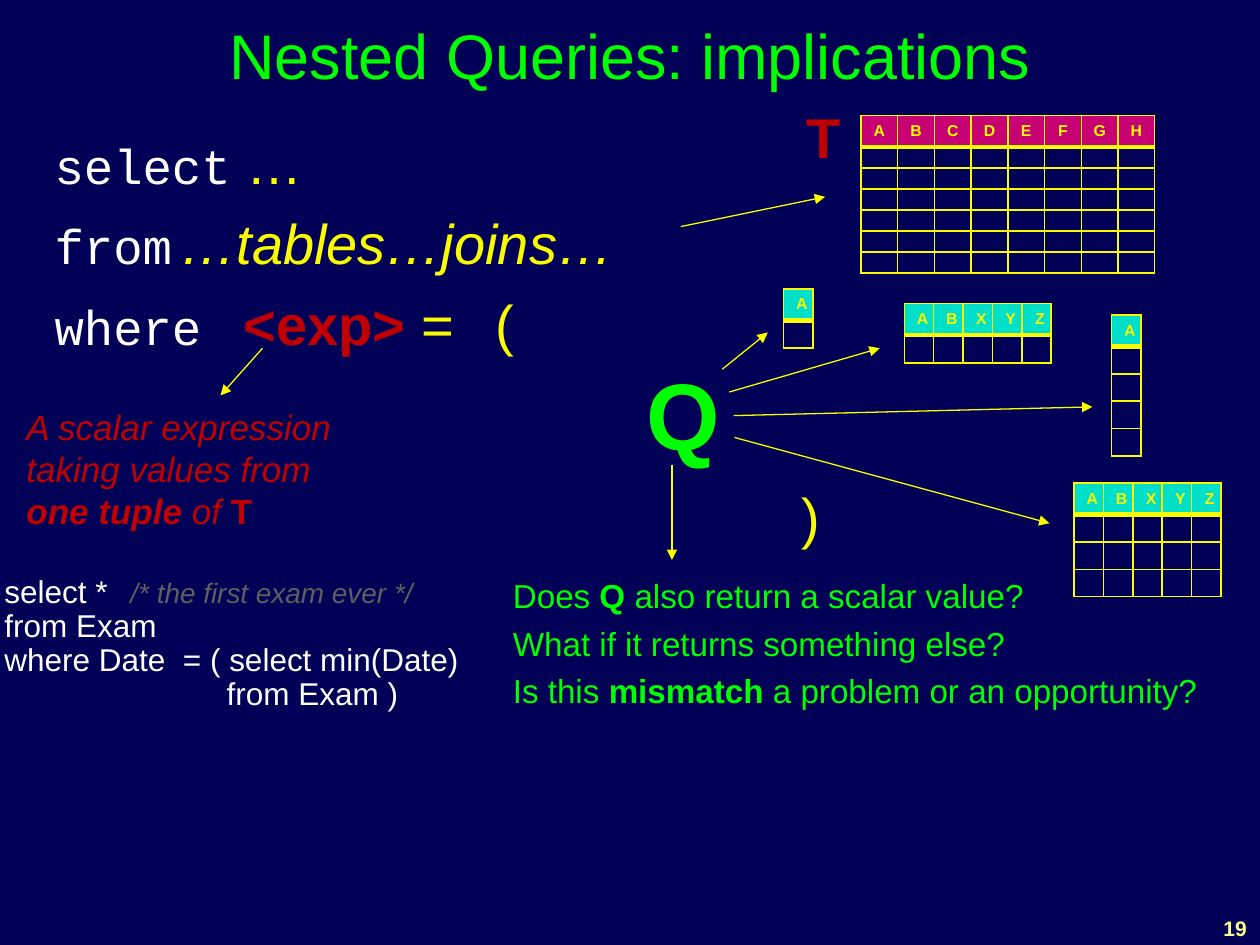
import pptx
import pptx.util
import pptx.dml.color
import pptx.enum.shapes
import pptx.enum.text
import pptx.oxml
import pptx.oxml.ns
import lxml.etree

Pt = pptx.util.Pt
qn = pptx.oxml.ns.qn
ALIGN = pptx.enum.text.PP_ALIGN
ANCHOR = pptx.enum.text.MSO_ANCHOR

YELLOW, GREEN, RED, WHITE = "FAFD00", "00FF00", "C00000", "FFFFFF"
PINK, TEAL = "C70074", "00DFCA"
MONO = dict(size=28, color=WHITE, face="Courier New")


def hexa(code):
    return pptx.dml.color.RGBColor.from_string(code)


def style(font, size=None, color=None, bold=None, italic=None, face=None):
    """Set only the font traits that are given."""
    if size:
        font.size = Pt(size)
    if color:
        font.color.rgb = hexa(color)
    if bold is not None:
        font.bold = bold
    if italic is not None:
        font.italic = italic
    if face:
        font.name = face


def sub(parent, tag, **attrs):
    return lxml.etree.SubElement(parent, qn(tag), {k: str(v) for k, v in attrs.items()})


def place(shape, box):
    shape.left, shape.top, shape.width, shape.height = map(Pt, box)


def write(par, runs, base, indent=0, tabs=(), gap=0, align=None, spacing=None):
    """Fill a paragraph with (text, differences) runs over a base style."""
    props = par._p.get_or_add_pPr()
    props.set("marL", str(Pt(indent)))
    props.set("indent", "0")
    par.space_before = Pt(gap)
    if align:
        par.alignment = align
    if spacing:
        par.line_spacing = spacing
    sub(props, "a:buNone")
    if tabs:
        stops = sub(props, "a:tabLst")
        for stop in tabs:
            sub(stops, "a:tab", pos=Pt(stop), algn="l")
    style(par.font, **{"face": "Arial", **base})
    for text, diff in runs:
        run = par.add_run()
        run.text = text
        style(run.font, **diff)


def fill(frame, lines, base, gap=0, **common):
    """Write one paragraph per (runs, options) line."""
    for i, (runs, opts) in enumerate(lines):
        par = frame.paragraphs[0] if i == 0 else frame.add_paragraph()
        write(par, runs, {**base, **opts.get("base", {})},
              **{"gap": gap if i else 0, **common,
                 **{k: v for k, v in opts.items() if k != "base"}})


def note(slide, box, lines, base, **common):
    shape = slide.shapes.add_textbox(*map(Pt, box))
    shape.text_frame.word_wrap = True
    fill(shape.text_frame, lines, base, **common)
    return shape


def arrow(slide, start, end):
    line = slide.shapes.add_connector(
        pptx.enum.shapes.MSO_CONNECTOR.STRAIGHT, *map(Pt, start + end))
    line.line.color.rgb = hexa(YELLOW)
    line.line.width = Pt(0.75)
    props = line._element.spPr
    sub(props.find(qn("a:ln")), "a:tailEnd", type="triangle")
    sub(props, "a:effectLst")


def border(cell, top, bottom):
    props = cell._tc.get_or_add_tcPr()
    for side, width in (("L", 1), ("R", 1), ("T", top), ("B", bottom)):
        line = sub(props, "a:ln" + side, w=Pt(width))
        sub(sub(line, "a:solidFill"), "a:srgbClr", val=YELLOW)


def grid(slide, box, names, count, color, shift=0):
    """A header row of names above count empty rows."""
    x, y, w, h = box
    head = 18
    frame = slide.shapes.add_table(count + 1, len(names), *map(Pt, box))
    table = frame.table
    table.first_row = table.horz_banding = False
    for col in table.columns:
        col.width = Pt(w / len(names))
    for r, row in enumerate(table.rows):
        row.height = Pt(head if r == 0 else (h - head) / count)
        for c, cell in enumerate(row.cells):
            border(cell, 3 if r == 1 else 1, 3 if r == 0 else 1)
            cell.margin_left = Pt(shift)
            cell.margin_right = cell.margin_top = cell.margin_bottom = 0
            cell.vertical_anchor = ANCHOR.MIDDLE
            par = cell.text_frame.paragraphs[0]
            if r == 0:
                cell.fill.solid()
                cell.fill.fore_color.rgb = hexa(color)
                write(par, [(names[c], {})],
                      dict(size=9, color=YELLOW, bold=True), align=ALIGN.CENTER)
            else:
                cell.fill.background()
                sub(par._p, "a:endParaRPr", sz=700)


def title(slide, box):
    shape = slide.shapes.title
    place(shape, box)
    frame = shape.text_frame
    frame.vertical_anchor = ANCHOR.MIDDLE
    fill(frame, [([("Nested Queries: implications", {})], {})],
         dict(size=36, color=GREEN), align=ALIGN.CENTER)


def query(slide, box):
    shape = slide.placeholders[1]
    place(shape, box)
    frame = shape.text_frame
    frame.auto_size = pptx.enum.text.MSO_AUTO_SIZE.NONE
    frame.vertical_anchor = ANCHOR.TOP
    fill(frame, [
        ([("select", MONO), (" …", {})], {}),
        ([("from", MONO), ("\t", {}), ("…tables…joins…", dict(italic=True))],
         dict(tabs=[103])),
        ([("where", MONO), ("\t", {}), ("<exp>", dict(color=RED, bold=True)),
          (" =\t(", {})], dict(tabs=[102, 291])),
        ([("Q", {})], dict(indent=338, gap=0,
                           base=dict(size=54, color=GREEN, bold=True))),
        ([(")", {})], dict(indent=427)),
    ], dict(size=32, color=YELLOW), gap=7.4)


def scalar(slide, box):
    x, y, w, h = box
    arrow(slide, (x + 142, y - 29), (x + 118, y - 2))
    note(slide, box, [([
        ("A scalar expression taking values from ", dict(italic=True)),
        ("one tuple", dict(italic=True, bold=True)),
        (" of ", dict(italic=True)), ("T", dict(bold=True))], {})],
        dict(size=20, color=RED))


def sample(slide, box):
    note(slide, box, [
        ([("select *\t", {}), ("/* the first exam ever */",
                               dict(size=16, color="5F5F5F", italic=True))],
         dict(tabs=[96.5])),
        ([("from Exam", {})], {}),
        ([("where Date\u0020 = ( select min(Date)", {})], {}),
        ([("from Exam )", {})], dict(indent=127)),
    ], dict(size=18, color=WHITE), spacing=0.9)


def asks(slide, box):
    strong = dict(bold=True)
    note(slide, box, [
        ([("Does", {}), (" Q ", strong), ("also return a scalar value?", {})], {}),
        ([("What if it returns something else?", {})], {}),
        ([("Is this ", {}), ("mismatch", strong),
          (" a problem or an opportunity?", {})], {}),
    ], dict(size=19, color=GREEN), gap=4.6)


def source(slide, box):
    """The table T with its label and the arrow that leads to it."""
    x, y, w, h = box
    grid(slide, box, "ABCDEFGH", 6, PINK)
    note(slide, (x - 38, y - 11, 35, 46), [([("T", {})], {})],
         dict(size=32, color=RED, bold=True))
    arrow(slide, (x - 103, y + 63.5), (x - 20.5, y + 46.5))


def results(slide, box):
    """The shapes of table that Q may return, each with its arrow."""
    x, y, w, h = box
    wide, thin = 84, 16.8
    for spot, names, count, start, end in (
        ((35, 0, thin, 34), "A", 1, (0, 46), (26, 25)),
        ((104, 8.5, wide, 34), "ABXYZ", 1, (4, 59), (90, 34)),
        ((222.5, 15, thin, 80.5), "A", 4, (6.5, 72.5), (211.5, 67.5)),
        ((201, 111, wide, 65), "ABXYZ", 3, (7, 85), (187, 134)),
    ):
        left, top, width, height = spot
        grid(slide, (x + left, y + top, width, height), names, count, TEAL, 4)
        arrow(slide, (x + start[0], y + start[1]), (x + end[0], y + end[1]))
    arrow(slide, (x - 28.75, y + 100.5), (x - 28.75, y + 155))


def number(slide, box):
    shape = note(slide, box, [([("19", {})], {})],
                 dict(size=12, color="FBFE8C", bold=True), align=ALIGN.RIGHT)
    shape.text_frame.vertical_anchor = ANCHOR.MIDDLE


def main():
    deck = pptx.Presentation()
    deck.slide_width, deck.slide_height = Pt(720), Pt(540)
    slide = deck.slides.add_slide(deck.slide_layouts[1])
    slide.background.fill.solid()
    slide.background.fill.fore_color.rgb = hexa("000057")
    title(slide, (24, 2, 672, 58))
    query(slide, (24, 70, 534, 248))
    source(slide, (492, 66, 168, 90))
    results(slide, (412.75, 165, 287, 176))
    scalar(slide, (8, 228, 198, 80))
    sample(slide, (-4.5, 326, 274, 86))
    asks(slide, (286, 325, 408, 86))
    number(slide, (654.5, 520.5, 65, 19.5))
    deck.save("out.pptx")


if __name__ == "__main__":
    main()
